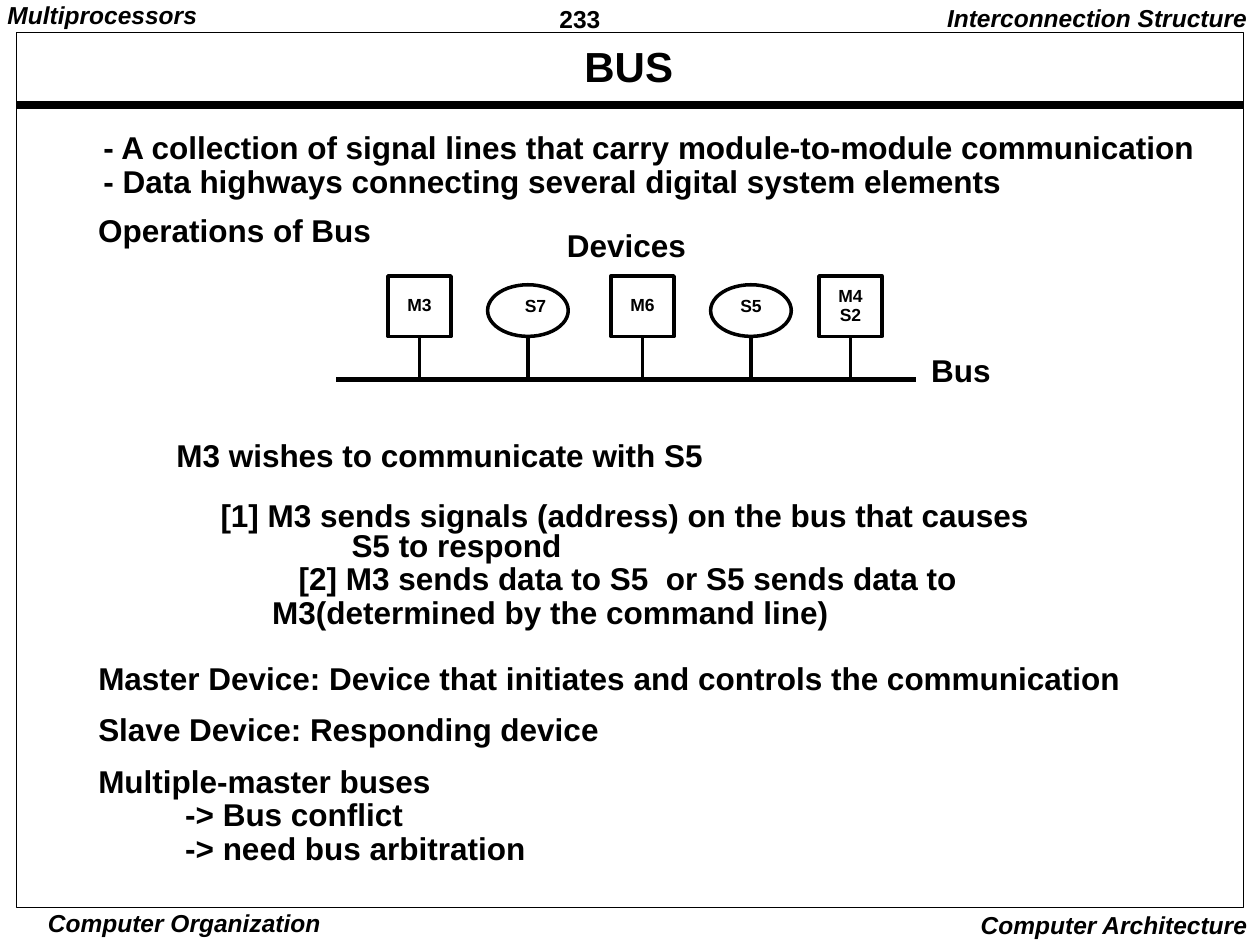
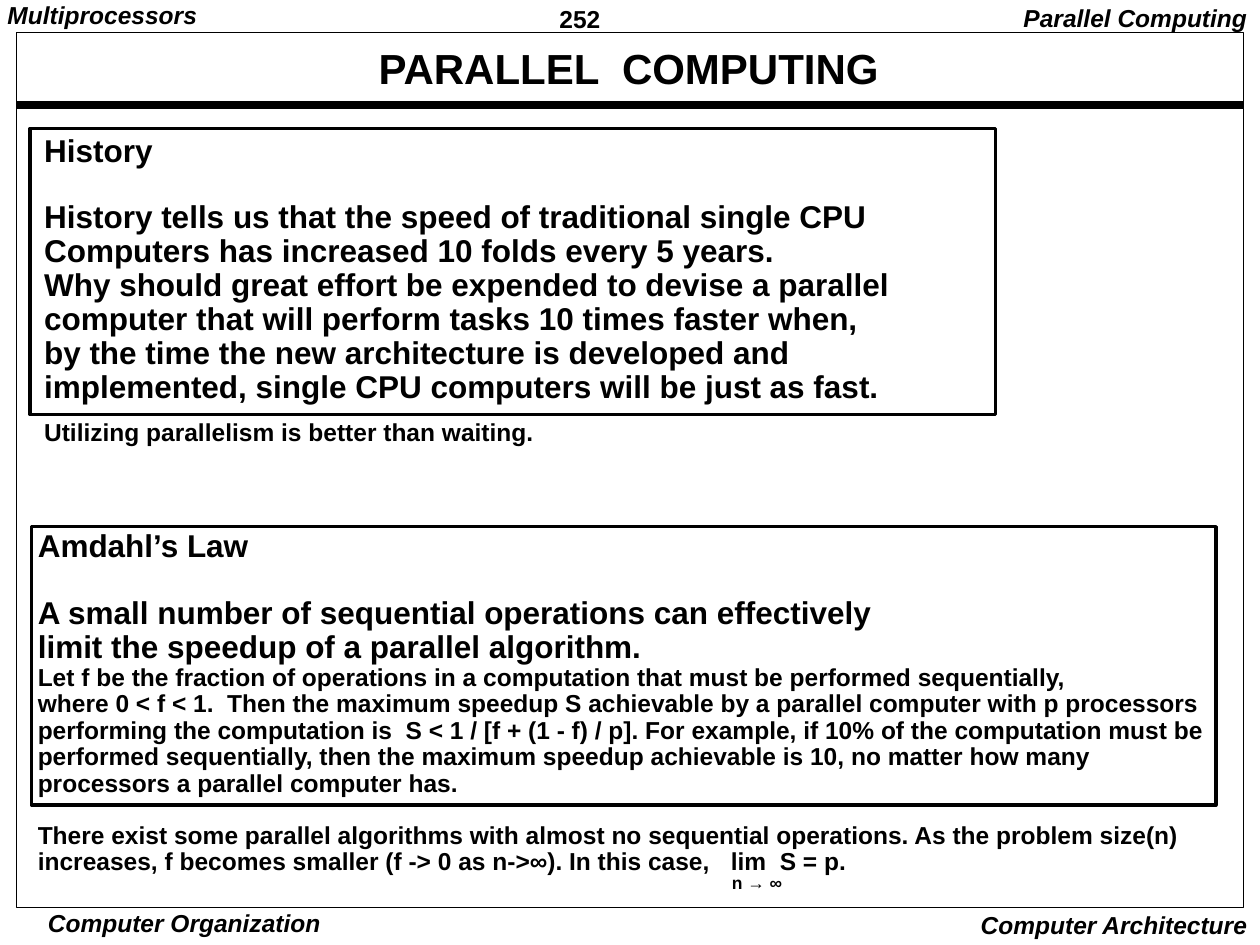
"""Build two lecture slides on multiprocessor buses and parallel computing."""
from dataclasses import dataclass

from lxml import etree
from pptx import Presentation
from pptx import util as u
from pptx.dml.color import RGBColor
from pptx.enum import shapes, text
from pptx.oxml import ns


@dataclass(frozen=True)
class Theme:
    """Colours, font and type sizes shared by the slides."""
    font: str = "Arial"
    ink: RGBColor = RGBColor(0, 0, 0)
    paper: RGBColor = RGBColor(255, 255, 255)
    title: int = 24
    body: int = 18
    small: int = 14
    tiny: int = 10


@dataclass
class Para:
    """One paragraph and its layout."""
    words: str
    size: int = Theme.body
    indent: float = 0
    before: float = 0
    spacing: float = 0.9
    align: text.PP_ALIGN = text.PP_ALIGN.LEFT
    italic: bool = False
    tab: float = 0


THEME = Theme()
LEFT, CENTER, RIGHT = text.PP_ALIGN.LEFT, text.PP_ALIGN.CENTER, text.PP_ALIGN.RIGHT
RECT, OVAL = shapes.MSO_SHAPE.RECTANGLE, shapes.MSO_SHAPE.OVAL

RUNNING_HEADS = [
    ("Multiprocessors", (0.06, 0.03, 2, 0.22), LEFT, 0.9),
    ("Computer Organization", (0.38, 7.21, 2.4, 0.24), LEFT, 1.0),
    ("Computer Architecture", (6.9, 7.22, 3, 0.24), RIGHT, 1.0),
]

BUS = {
    "title": "BUS", "title_box": (0.41, 0.21, 9.16, 0.67),
    "page": "233", "topic": "Interconnection Structure",
    "bodies": [
        ((0.82, 1.05, 9, 0.54), [
            Para("- A collection of signal lines that carry module-to-module communication"),
            Para("- Data highways connecting several digital system elements"),
        ]),
        ((0.78, 3.5, 8.8, 3.67), [
            Para("M3 wishes to communicate with S5", indent=0.62, spacing=0.89),
            Para("[1] M3 sends signals (address) on the bus that causes",
                 indent=0.97, before=16.5, spacing=0.8),
            Para("S5 to respond", indent=2.01, spacing=0.8),
            Para("[2] M3 sends data to S5  or S5 sends data to", indent=1.59, spacing=0.89),
            Para("M3(determined by the command line)", indent=1.38, spacing=0.89),
            Para("Master Device: Device that initiates and controls the communication",
                 before=18.4, spacing=0.89),
            Para("Slave Device: Responding device", before=10.1, spacing=0.89),
            Para("Multiple-master buses", before=10.1, spacing=0.89),
            Para("-> Bus conflict", indent=0.69, spacing=0.89),
            Para("-> need bus arbitration", indent=0.69, spacing=0.89),
        ]),
    ],
    "labels": [
        ((0.78, 1.72, 2.5, 0.25), Para("Operations of Bus", spacing=0.85)),
        ((4.5, 1.84, 1.2, 0.25), Para("Devices", spacing=0.85)),
        ((7.39, 2.83, 0.8, 0.25), Para("Bus", spacing=0.85)),
    ],
    "boxes": [],
}

PARALLEL = {
    "title": "PARALLEL  COMPUTING", "title_box": (0.22, 0.2, 9.54, 0.73),
    "page": "252", "topic": "Parallel Computing",
    "bodies": [
        ((0.35, 1.07, 7.4, 2.69), [
            Para("History"),
            Para("History tells us that the speed of traditional single CPU", before=18.6),
            Para("Computers has increased 10 folds every 5 years."),
            Para("Why should great effort be expended to devise a parallel"),
            Para("computer that will perform tasks 10 times faster when,"),
            Para("by the time the new architecture is developed and"),
            Para("implemented, single CPU computers will be just as fast."),
            Para("Utilizing parallelism is better than waiting.", THEME.small,
                 before=12.4, spacing=0.6),
        ]),
        ((0.3, 4.21, 9.36, 2.76), [
            Para("Amdahl’s Law"),
            Para("A small number of sequential operations can effectively", before=18.6),
            Para("limit the speedup of a parallel algorithm."),
            Para("Let f be the fraction of operations in a computation that must be "
                 "performed sequentially,", THEME.small),
            Para("where 0 < f < 1.  Then the maximum speedup S achievable by a parallel "
                 "computer with p processors performing the computation is  "
                 "S < 1 / [f + (1 - f) / p]. For example, if 10% of the computation must be "
                 "performed sequentially, then the maximum speedup achievable is 10, "
                 "no matter how many", THEME.small),
            Para("processors a parallel computer has.", THEME.small),
            Para("There exist some parallel algorithms with almost no sequential operations. "
                 "As the problem size(n) increases, f becomes smaller (f -> 0 as n->∞). "
                 "In this case,\tlim  S = p.", THEME.small, before=14.5, tab=5.49),
        ]),
    ],
    "labels": [((5.81, 6.88, 0.6, 0.2), Para("n → ∞", THEME.tiny, spacing=1.25))],
    "boxes": [(0.24, 1.02, 7.66, 2.27), (0.25, 4.18, 9.4, 2.21)],
}

BUS_LINE = (2.67, 7.27, 3.01)
DEVICE_BOTTOM = 2.67
DEVICE_SIZES = {RECT: (0.5, 0.48), OVAL: (0.64, 0.41)}
DEVICES = [
    (["M3"], RECT, 3.33, 0),
    (["S7"], OVAL, 4.19, 0.12),
    (["M6"], RECT, 5.1, 0),
    (["S5"], OVAL, 5.96, 0),
    (["M4", "S2"], RECT, 6.75, 0),
]


def inches(*lengths):
    return [u.Inches(length) for length in lengths]


def write(frame, paras, anchor=text.MSO_ANCHOR.TOP):
    frame.word_wrap = True
    frame.auto_size = text.MSO_AUTO_SIZE.NONE
    frame.vertical_anchor = anchor
    frame.margin_left = frame.margin_right = frame.margin_top = frame.margin_bottom = 0
    for number, para in enumerate(paras):
        line = frame.add_paragraph() if number else frame.paragraphs[0]
        props = line._p.get_or_add_pPr()
        props.set("marL", str(u.Inches(para.indent)))
        props.set("indent", "0")
        etree.SubElement(props, ns.qn("a:buNone"))
        if para.tab:
            tabs = etree.SubElement(props, ns.qn("a:tabLst"))
            etree.SubElement(tabs, ns.qn("a:tab"), pos=str(u.Inches(para.tab)), algn="l")
        line.alignment = para.align
        line.line_spacing = para.spacing
        line.space_before = u.Pt(para.before)
        line.space_after = u.Pt(0)
        run = line.add_run()
        run.text = para.words
        run.font.name = THEME.font
        run.font.size = u.Pt(para.size)
        run.font.bold = True
        run.font.italic = para.italic
        run.font.color.rgb = THEME.ink


def fill_placeholder(holder, box, paras, anchor=text.MSO_ANCHOR.TOP):
    holder.left, holder.top, holder.width, holder.height = inches(*box)
    write(holder.text_frame, paras, anchor)


def add_label(slide, box, para):
    write(slide.shapes.add_textbox(*inches(*box)).text_frame, [para])


def add_outline(slide, kind, box, weight, fill=None):
    outline = slide.shapes.add_shape(kind, *inches(*box))
    outline.shadow.inherit = False
    if fill is None:
        outline.fill.background()
    else:
        outline.fill.solid()
        outline.fill.fore_color.rgb = fill
    outline.line.color.rgb = THEME.ink
    outline.line.width = u.Pt(weight)
    return outline


def add_line(slide, start, end, weight):
    line = slide.shapes.add_connector(
        shapes.MSO_CONNECTOR.STRAIGHT, *inches(*start, *end))
    line.line.color.rgb = THEME.ink
    line.line.width = u.Pt(weight)
    etree.SubElement(line._element.spPr, ns.qn("a:effectLst"))
    return line


def add_frame(slide, page, topic):
    add_outline(slide, RECT, (0.13, 0.26, 9.74, 6.94), 0.5)
    add_line(slide, (0.13, 0.83), (9.87, 0.83), 4.5)
    add_label(slide, (4.44, 0.03, 0.9, 0.23), Para(page, THEME.small, spacing=1.01))
    topic_head = (topic, (6.9, 0.05, 3, 0.22), RIGHT, 0.9)
    for words, box, align, spacing in RUNNING_HEADS + [topic_head]:
        add_label(slide, box, Para(words, THEME.small, align=align,
                                   spacing=spacing, italic=True))


def add_bus_diagram(slide):
    bus_left, bus_right, bus_y = BUS_LINE
    for names, kind, center, nudge in DEVICES:
        width, height = DEVICE_SIZES[kind]
        box = (center - width / 2, DEVICE_BOTTOM - height, width, height)
        device = add_outline(slide, kind, box, 2, THEME.paper)
        write(device.text_frame,
              [Para(name, THEME.tiny, align=CENTER) for name in names],
              text.MSO_ANCHOR.MIDDLE)
        device.text_frame.margin_left = u.Inches(nudge)
        if kind == OVAL:
            device.text_frame.margin_bottom = u.Inches(0.06)
        stem = add_line(slide, (center, DEVICE_BOTTOM), (center, bus_y), 2)
        if kind == RECT:
            stem.begin_connect(device, 2)
    add_line(slide, (bus_left, bus_y), (bus_right, bus_y), 3)


def add_lecture_slide(deck, content):
    slide = deck.slides.add_slide(deck.slide_layouts.get_by_name("Two Content"))
    fill_placeholder(slide.shapes.title, content["title_box"],
                     [Para(content["title"], THEME.title, align=CENTER)],
                     text.MSO_ANCHOR.MIDDLE)
    for number, (box, paras) in enumerate(content["bodies"], start=1):
        fill_placeholder(slide.placeholders[number], box, paras)
    add_frame(slide, content["page"], content["topic"])
    for box in content["boxes"]:
        add_outline(slide, RECT, box, 2)
    for box, para in content["labels"]:
        add_label(slide, box, para)
    return slide


def main():
    deck = Presentation()
    deck.slide_width, deck.slide_height = inches(10, 7.5)
    add_bus_diagram(add_lecture_slide(deck, BUS))
    add_lecture_slide(deck, PARALLEL)
    deck.save("out.pptx")


if __name__ == "__main__":
    main()
